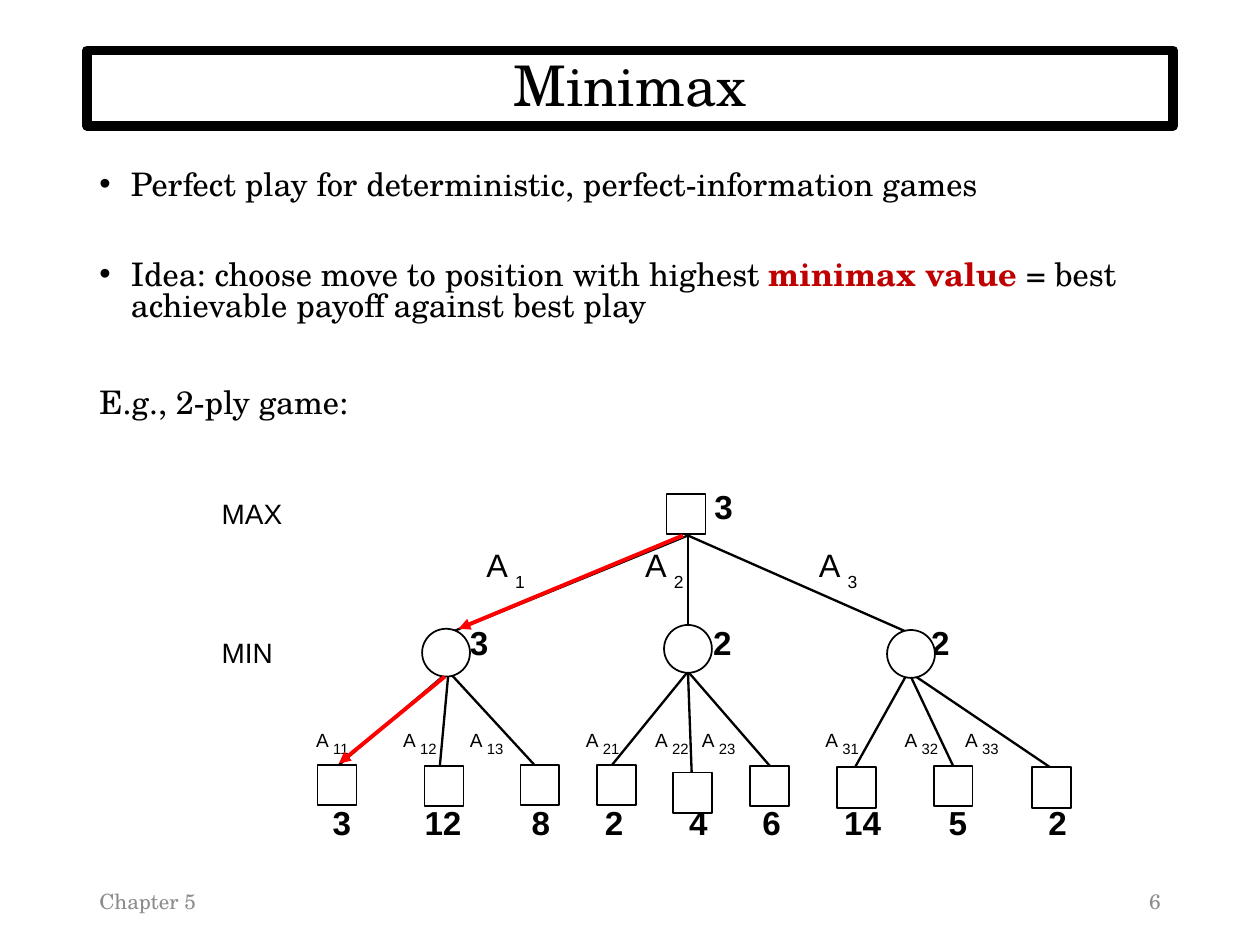
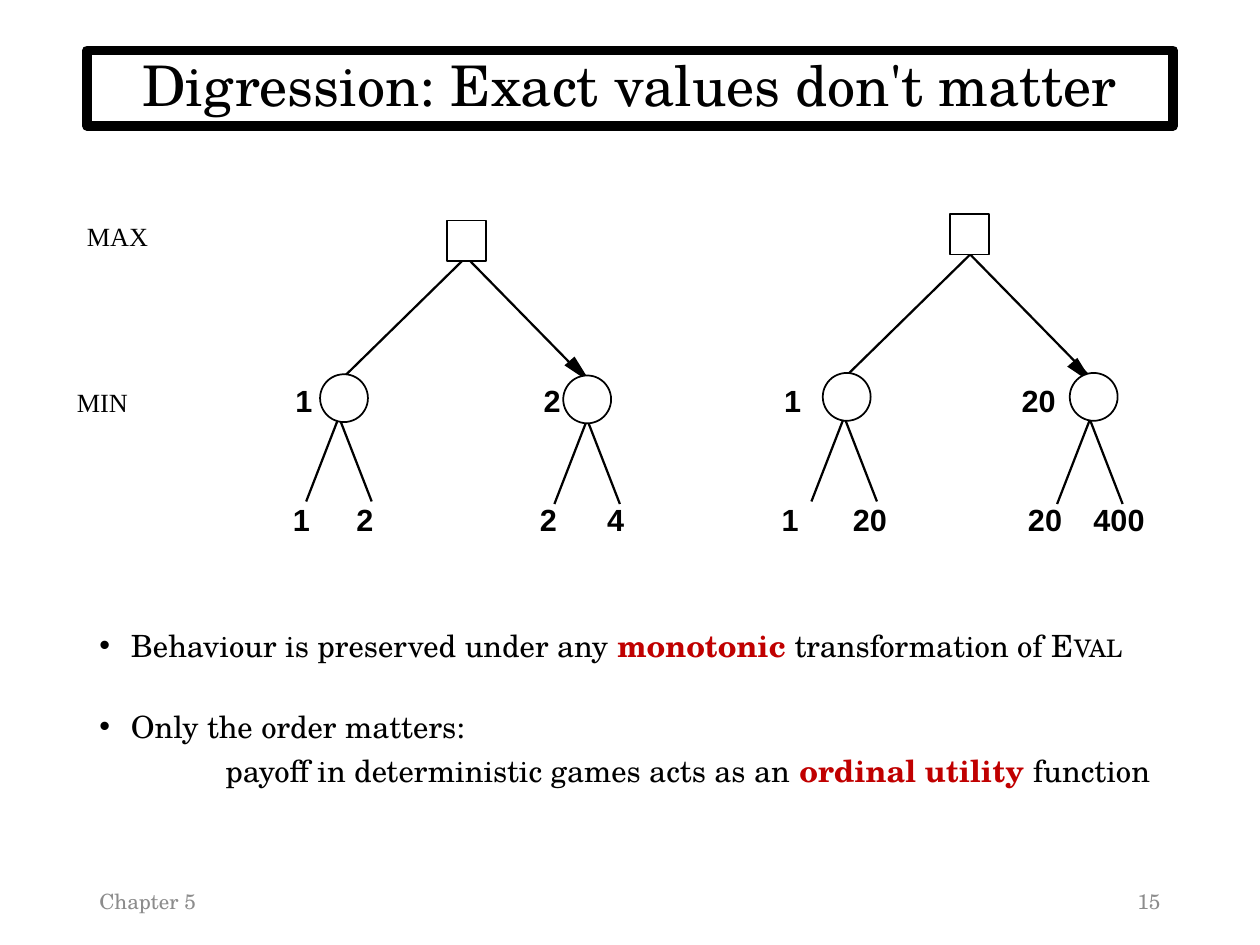
from lxml import etree
from pptx import Presentation
from pptx.dml.color import RGBColor
from pptx.enum.shapes import MSO_CONNECTOR, MSO_SHAPE
from pptx.enum.text import MSO_ANCHOR, PP_ALIGN
from pptx.oxml.ns import qn
from pptx.util import Inches, Pt

SQUARE, CIRCLE = MSO_SHAPE.RECTANGLE, MSO_SHAPE.OVAL
STRAIGHT = MSO_CONNECTOR.STRAIGHT
MIDDLE, TOP = MSO_ANCHOR.MIDDLE, MSO_ANCHOR.TOP
LEFT, CENTER, RIGHT = PP_ALIGN.LEFT, PP_ALIGN.CENTER, PP_ALIGN.RIGHT

COLORS = {"ink": "000000", "paper": "FFFFFF", "footer": "8C8C8C",
          "term": "C00000", "path": "FF0000"}
SERIF, SANS, ROMAN = "TeX Gyre Schola", "Arial", "Times New Roman"
NO_TABLE_STYLE = "{2D5ABB26-0587-4C30-8999-92F81FD0307C}"
SQUARE_SIZE = (0.31, 0.32)
CIRCLE_SIZE = (0.38, 0.38)


def color(name):
    return RGBColor.from_string(COLORS[name])


def style_font(font, name, size, bold=False, color_name="ink"):
    font.name = name
    font.size = Pt(size)
    font.bold = bold
    font.color.rgb = color(color_name)


def add_run(paragraph, text, size=None, baseline=None, term=False):
    """Add a run that states only what differs from its paragraph."""
    run = paragraph.add_run()
    run.text = text
    if size:
        run.font.size = Pt(size)
    if baseline:
        run.font._element.set("baseline", str(baseline * 1000))
    if term:
        run.font.bold = True
        run.font.color.rgb = color("term")


def add_text_box(slide, box, inset=0, anchor=TOP):
    shape = slide.shapes.add_textbox(*map(Inches, box))
    frame = shape.text_frame
    frame.word_wrap = True
    frame.vertical_anchor = anchor
    frame.margin_left = frame.margin_right = Inches(inset)
    frame.margin_top = frame.margin_bottom = Inches(inset / 2 or 0.02)
    return shape


def add_line_of_text(slide, box, text, font, size, bold=False, color_name="ink",
                     align=LEFT, inset=0, anchor=TOP):
    shape = add_text_box(slide, box, inset, anchor)
    paragraph = shape.text_frame.paragraphs[0]
    paragraph.alignment = align
    style_font(paragraph.font, font, size, bold, color_name)
    add_run(paragraph, text)
    return shape


def add_frame(slide, title, number):
    """Title box, chapter footer and slide number."""
    shape = add_line_of_text(slide, (0.69, 0.4, 8.62, 0.6), title, SERIF, 32,
                             align=CENTER, inset=0.1, anchor=MIDDLE)
    shape.text_frame.paragraphs[0].line_spacing = 0.9
    shape.line.color.rgb = color("ink")
    shape.line.width = Pt(5.5)
    for left, text, align in ((0.69, "Chapter 5", LEFT), (7.06, str(number), RIGHT)):
        add_line_of_text(slide, (left, 6.95, 2.25, 0.4), text, SERIF, 12,
                         color_name="footer", align=align, inset=0.1, anchor=MIDDLE)


def add_body(slide, box, size, line_spacing, paragraphs):
    """Each paragraph is (bulleted, left indent, space before, runs)."""
    frame = add_text_box(slide, box, 0.1).text_frame
    for index, (bulleted, indent, space, runs) in enumerate(paragraphs):
        paragraph = frame.add_paragraph() if index else frame.paragraphs[0]
        properties = paragraph._p.get_or_add_pPr()
        properties.set("marL", str(Inches(indent)))
        if bulleted:
            properties.set("indent", str(-Inches(indent)))
            etree.SubElement(properties, qn("a:buFont"), typeface=SANS)
            etree.SubElement(properties, qn("a:buChar"), char="•")
        paragraph.line_spacing = line_spacing
        if space:
            paragraph.space_before = Pt(space)
        style_font(paragraph.font, SERIF, size)
        for text, changes in runs:
            add_run(paragraph, text, **changes)


def add_value(slide, left, top, text):
    add_line_of_text(slide, (left, top, 0.6, 0.35), text, SANS, 19, bold=True)


def add_action(slide, left, top, index, letter, digits):
    """An action name; letter and digits are (size, baseline) pairs."""
    frame = add_text_box(slide, (left, top, 0.7, 0.3)).text_frame
    paragraph = frame.paragraphs[0]
    style_font(paragraph.font, SANS, letter[0])
    add_run(paragraph, "A ", *letter)
    add_run(paragraph, index, *digits)


def add_branch(slide, start, end, width=1.33, color_name="ink", arrow=False):
    line = slide.shapes.add_connector(STRAIGHT, *map(Inches, (*start, *end)))
    line.line.color.rgb = color(color_name)
    line.line.width = Pt(width)
    if arrow:
        etree.SubElement(line.line._get_or_add_ln(), qn("a:tailEnd"), type="triangle")
    etree.SubElement(line._element.spPr, qn("a:effectLst"))


def add_node(slide, kind, left, top):
    size = CIRCLE_SIZE if kind == CIRCLE else SQUARE_SIZE
    node = slide.shapes.add_shape(kind, *map(Inches, (left, top, *size)))
    node.shadow.inherit = False
    node.fill.solid()
    node.fill.fore_color.rgb = color("paper")
    node.line.color.rgb = color("ink")
    node.line.width = Pt(1)


def add_arrowhead(slide, left, top):
    points = [(Inches(left + x), Inches(top + y))
              for x, y in ((0, 0.07), (0.21, 0.21), (0.08, 0))]
    builder = slide.shapes.build_freeform(*points[0])
    builder.add_line_segments(points[1:], close=True)
    head = builder.convert_to_shape()
    head.shadow.inherit = False
    head.fill.solid()
    head.fill.fore_color.rgb = color("ink")
    head.line.fill.background()


def add_two_ply_tree(slide):
    root = (5.46, 4.25)
    # MIN node: circle corner, top joint, bottom joint, value position, action left
    hubs = [((3.35, 4.99), (3.55, 5.03), (3.56, 5.33), (3.73, "3"), 3.86),
            ((5.27, 4.96), (5.46, 5.02), (5.46, 5.33), (5.66, "2"), 5.12),
            ((7.04, 5.0), (7.23, 5.03), (7.21, 5.33), (7.39, "2"), 6.5)]
    # Leaf: square corner, branch end, value left, value, action left
    leaves = [[((2.52, 6.07), 2.68, 2.64, "3", 2.51),
               ((3.37, 6.08), 3.49, 3.37, "12", 3.2),
               ((4.13, 6.07), 4.25, 4.22, "8", 3.73)],
              [((4.74, 6.07), 4.85, 4.8, "2", 4.65),
               ((5.34, 6.13), 5.49, 5.47, "4", 5.2),
               ((5.95, 6.08), 6.12, 6.05, "6", 5.57)],
              [((6.64, 6.09), 6.78, 6.7, "14", 6.55),
               ((7.41, 6.08), 7.57, 7.53, "5", 7.18),
               ((8.19, 6.09), 8.35, 8.32, "2", 7.66)]]

    # Labels and branches lie below the nodes
    for text, top in (("MAX", 3.92), ("MIN", 5.02)):
        add_line_of_text(slide, (1.76, top, 0.7, 0.29), text, SANS, 16)
    add_value(slide, 5.67, 3.84, "3")
    for row, (hub, group) in enumerate(zip(hubs, leaves), 1):
        _, joint, base, (value_left, value), action_left = hub
        add_value(slide, value_left, 4.92, value)
        add_action(slide, action_left, 4.31, str(row), (18.5, None), (17.2, -34))
        add_branch(slide, root, joint)
        for column, (corner, end, left, leaf_value, name_left) in enumerate(group, 1):
            add_value(slide, left, 6.35, leaf_value)
            add_action(slide, name_left, 5.71, f"{row}{column}", (18.8, 22), (8.5, None))
            add_branch(slide, base, (end, corner[1] + 0.01))

    # Nodes
    add_node(slide, SQUARE, 5.29, 3.92)
    for hub, group in zip(hubs, leaves):
        add_node(slide, CIRCLE, *hub[0])
        for leaf in group:
            add_node(slide, SQUARE, *leaf[0])

    # Best line of play
    for start, end in (((5.42, 4.25), (3.64, 4.99)), ((3.53, 5.37), (2.69, 6.06))):
        add_branch(slide, start, end, 2.25, "path", arrow=True)


def add_value_table(slide):
    """MIN values above, leaf values below, aligned to the branches."""
    widths = [1.09, 0.97, 0.98, 0.99, 1.18, 0.76, 1.46, 0.54, 0.99]
    rows = [["MIN", "1", "", "2", "", "1", "", "20", ""],
            ["", "1", "2", "2", "4", "1", "20", "20", "400"]]
    left_indents = {0: 0.03, 2: 0.19, 4: 0.21, 6: 0.22, 8: 0.13}
    # Right indents keep the values clear of the circles
    right_indents = [{1: 0.16, 3: 0.16, 5: 0.19, 7: 0.17},
                     {1: 0.18, 3: 0.19, 5: 0.21, 7: 0.12}]
    shape = slide.shapes.add_table(2, len(widths), *map(Inches, (0.58, 3.05, 8.96, 1.23)))
    table = shape.table
    table.first_row = table.horz_banding = False
    table._tbl.tblPr.find(qn("a:tableStyleId")).text = NO_TABLE_STYLE
    for column, width in zip(table.columns, widths):
        column.width = Inches(width)
    for row, height in zip(table.rows, (0.62, 0.61)):
        row.height = Inches(height)
    for y, texts in enumerate(rows):
        for x, text in enumerate(texts):
            cell = table.cell(y, x)
            cell.fill.background()
            cell.margin_left = Inches(left_indents.get(x, 0))
            cell.margin_right = Inches(right_indents[y].get(x, 0))
            cell.margin_bottom = 0
            cell.margin_top = Inches(0.32 if y else 0.04 if x == 0 else 0)
            paragraph = cell.text_frame.paragraphs[0]
            if x == 0:
                style_font(paragraph.font, ROMAN, 15)
            else:
                style_font(paragraph.font, SANS, 17.5, bold=True)
                paragraph.line_spacing = Pt(20)
                paragraph.alignment = RIGHT if x % 2 else LEFT
            if text:
                add_run(paragraph, text)


def add_binary_tree(slide, square, root, circles, bases, head):
    x, y = root
    add_branch(slide, root, (x - 0.98, y + 0.96), 1.28)
    add_branch(slide, root, (x + 0.96, y + 0.98), 1.28)
    add_arrowhead(slide, *head)
    for base_x, base_y in bases:
        for side in (-0.26, 0.26):
            add_branch(slide, (base_x, base_y), (base_x + side, base_y + 0.67), 1.28)
    for corner in circles:
        add_node(slide, CIRCLE, *corner)
    add_node(slide, SQUARE, *square)


def build_minimax(slide):
    add_frame(slide, "Minimax", 6)
    add_body(slide, (0.69, 1.31, 8.62, 2.18), 18.5, 0.8, [
        (True, 0.25, 0, [("Perfect play for deterministic, perfect-information games", {})]),
        (True, 0.25, 33.7, [("Idea: choose move to position with highest ", {}),
                            ("minimax value ", {"term": True}),
                            ("= best achievable payoff against best play", {})]),
        (False, 0, 37.7, [("E.g., 2-ply game:", {})])])
    add_two_ply_tree(slide)


def build_digression(slide):
    add_frame(slide, "Digression: Exact values don't matter", 15)
    add_body(slide, (0.69, 5.01, 8.62, 1.73), 17.5, 0.7, [
        (True, 0.25, 0, [("Behaviour is preserved under any ", {}),
                         ("monotonic", {"term": True}),
                         (" transformation of E", {}), ("VAL", {"size": 13.8})]),
        (True, 0.25, 31.6, [("Only the order matters:", {})]),
        (False, 1, 10, [("payoff in deterministic games acts as an ", {}),
                        ("ordinal utility ", {"term": True}), ("function", {})])])
    add_line_of_text(slide, (0.69, 1.73, 0.7, 0.28), "MAX", ROMAN, 15)
    add_value_table(slide)
    add_binary_tree(slide, (3.55, 1.75), (3.7, 2.04), [(2.54, 2.97), (4.47, 2.98)],
                    [(2.69, 3.31), (4.66, 3.33)], (4.48, 2.83))
    add_binary_tree(slide, (7.54, 1.7), (7.7, 2.02), [(6.53, 2.96), (8.49, 2.96)],
                    [(6.7, 3.31), (8.65, 3.33)], (8.47, 2.84))


def main():
    presentation = Presentation()
    presentation.slide_width = Inches(10)
    presentation.slide_height = Inches(7.5)
    blank = presentation.slide_layouts[6]
    for build in (build_minimax, build_digression):
        build(presentation.slides.add_slide(blank))
    presentation.save("out.pptx")


if __name__ == "__main__":
    main()
